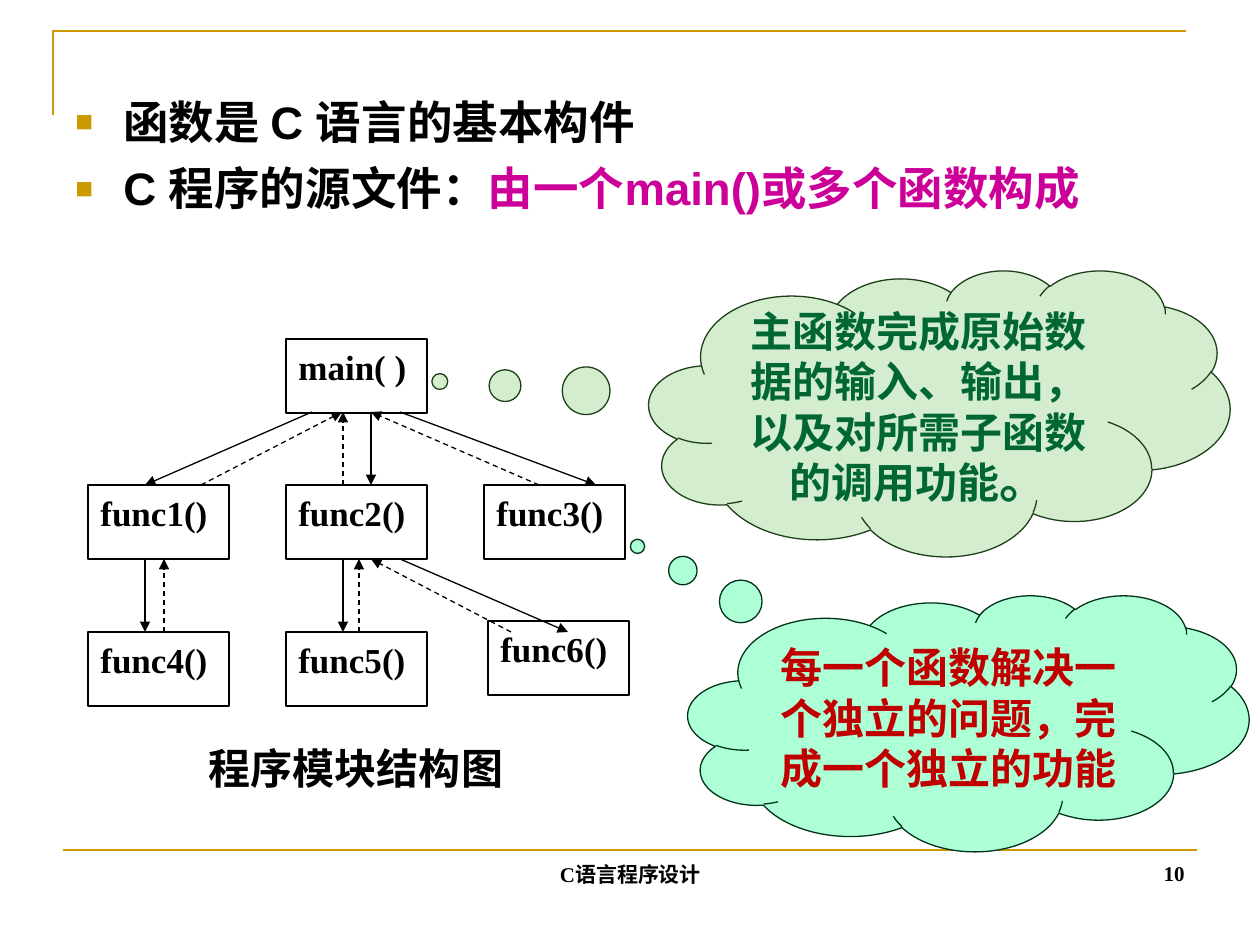
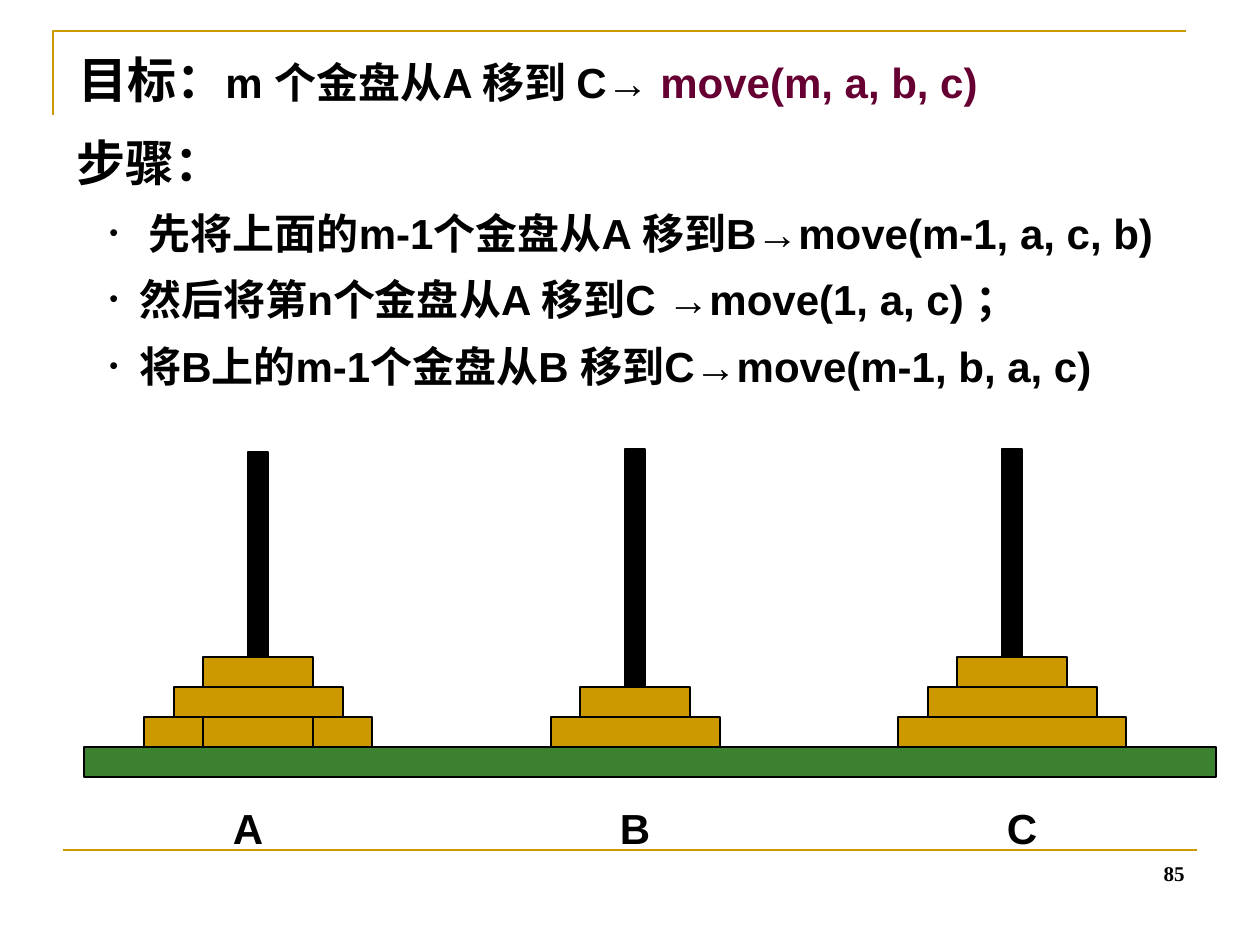
from dataclasses import dataclass, field
from typing import Any

from lxml.etree import SubElement
from pptx import Presentation
from pptx.dml.color import RGBColor
from pptx.enum.dml import MSO_LINE
from pptx.enum.shapes import MSO_CONNECTOR, MSO_SHAPE
from pptx.enum.text import MSO_ANCHOR, MSO_AUTO_SIZE, PP_ALIGN
from pptx.oxml.ns import qn
from pptx.util import Emu, Inches, Pt

SCALE = Inches(10) / 1260
GOLD = "CC9900"
BLACK = "000000"
WHITE = "FFFFFF"
SANS = "Arial"
SERIF = "Times New Roman"
CHINESE = "Noto Sans CJK JP"

Box = tuple[int, int, int, int]
Point = tuple[int, int]


@dataclass(frozen=True)
class Span:
    text: str
    size: float = 24
    color: str = BLACK
    font: str = SANS


@dataclass(frozen=True)
class Bullet:
    character: str
    color: str
    percent: int
    margin: int
    indent: int


@dataclass(frozen=True)
class Line:
    spans: list[Span]
    format: dict[str, Any] = field(default_factory=dict)
    bullet: Bullet | None = None


@dataclass(frozen=True)
class Cloud:
    box: Box
    tail: tuple[float, float]
    fill: str
    outline: str
    spans: list[Span]


@dataclass(frozen=True)
class Tower:
    label: str
    center: int
    label_center: int
    pole_top: int
    disc_widths: list[int]


SQUARE = Bullet("■", GOLD, 65, 48, -48)
DOT = Bullet("•", BLACK, 60, 63, -30)
CENTERED = {"alignment": PP_ALIGN.CENTER}

MODULES = {
    "main( )": (286, 339),
    "func1()": (88, 485),
    "func2()": (286, 485),
    "func3()": (484, 485),
    "func4()": (88, 632),
    "func5()": (286, 632),
    "func6()": (488, 621),
}
CALLS = [
    ((312, 412), (145, 485)),
    ((371, 412), (371, 485)),
    ((400, 412), (596, 485)),
    ((145, 559), (145, 632)),
    ((343, 559), (343, 632)),
    ((400, 559), (568, 632)),
]
RETURNS = [
    ((201, 485), (342, 412)),
    ((343, 485), (343, 412)),
    ((539, 485), (371, 412)),
    ((164, 632), (164, 559)),
    ((359, 632), (359, 559)),
    ((511, 632), (371, 559)),
]
CLOUDS = [
    Cloud((649, 270, 581, 286), (-0.86, -0.11), "D3EDCE", "1D4018", [
        Span("主函数完成原始数据的输入、输出，以及对所需子函数的调用功能", 24, "006633", CHINESE),
        Span("。", 28, "006633", CHINESE),
    ]),
    Cloud((688, 595, 561, 256), (-0.59, -0.69), "ADFFD6", "003319", [
        Span("每一个函数解决一个独立的问题，完成一个独立的功能", 24, "C00000", CHINESE),
    ]),
]

DISC_HEIGHT = 30
BOARD_TOP = 747
SMALL, MEDIUM, LARGE = 110, 169, 228
TOWERS = [
    Tower("A", 258, 248, 452, [LARGE, MEDIUM, SMALL]),
    Tower("B", 635, 635, 449, [MEDIUM, SMALL]),
    Tower("C", 1012, 1022, 449, [LARGE, MEDIUM, SMALL]),
]


def px(length: float) -> Emu:
    return Emu(round(length * SCALE))


def rgb(value: str) -> RGBColor:
    return RGBColor.from_string(value)


def apply_format(target: Any, values: dict[str, Any]) -> None:
    for name, value in values.items():
        setattr(target, name, value)


def place(shape: Any, box: Box) -> None:
    apply_format(shape, dict(zip(("left", "top", "width", "height"), map(px, box))))


def add_bullet(paragraph: Any, bullet: Bullet) -> None:
    properties = paragraph._p.get_or_add_pPr()
    properties.set("marL", str(px(bullet.margin)))
    properties.set("indent", str(px(bullet.indent)))
    color = SubElement(properties, qn("a:buClr"))
    SubElement(color, qn("a:srgbClr"), val=bullet.color)
    SubElement(properties, qn("a:buSzPct"), val=str(bullet.percent * 1000))
    SubElement(properties, qn("a:buFont"), typeface=SANS)
    SubElement(properties, qn("a:buChar"), char=bullet.character)


def write(shape: Any, lines: list[Line], anchor: MSO_ANCHOR = MSO_ANCHOR.TOP) -> None:
    frame = shape.text_frame
    apply_format(frame, {
        "word_wrap": True,
        "auto_size": MSO_AUTO_SIZE.NONE,
        "vertical_anchor": anchor,
        "margin_left": Inches(0.1),
        "margin_right": Inches(0.1),
        "margin_top": Inches(0.05),
        "margin_bottom": Inches(0.05),
    })
    for index, line in enumerate(lines):
        paragraph = frame.add_paragraph() if index else frame.paragraphs[0]
        if line.bullet:
            add_bullet(paragraph, line.bullet)
        apply_format(paragraph, {"alignment": PP_ALIGN.LEFT, "space_before": Pt(0)} | line.format)
        for span in line.spans:
            run = paragraph.add_run()
            run.text = span.text
            apply_format(run.font, {"name": span.font, "size": Pt(span.size), "bold": True})
            run.font.color.rgb = rgb(span.color)
    for properties in shape.element.iter(qn("a:rPr")):
        SubElement(properties, qn("a:ea"), typeface=CHINESE)


def add_text(slide: Any, box: Box, lines: list[Line], anchor: MSO_ANCHOR = MSO_ANCHOR.TOP) -> None:
    write(slide.shapes.add_textbox(*map(px, box)), lines, anchor)


def add_block(slide: Any, box: Box, fill: str, outline: str = BLACK,
              kind: MSO_SHAPE = MSO_SHAPE.RECTANGLE) -> Any:
    shape = slide.shapes.add_shape(kind, *map(px, box))
    shape.shadow.inherit = False
    shape.fill.solid()
    shape.fill.fore_color.rgb = rgb(fill)
    shape.line.color.rgb = rgb(outline)
    shape.line.width = Pt(0.75)
    return shape


def add_line(slide: Any, start: Point, end: Point, color: str = BLACK, width: float = 0.75) -> Any:
    connector = slide.shapes.add_connector(MSO_CONNECTOR.STRAIGHT, *map(px, start + end))
    connector.line.color.rgb = rgb(color)
    connector.line.width = Pt(width)
    SubElement(connector.element.spPr, qn("a:effectLst"))
    return connector


def add_arrow(slide: Any, start: Point, end: Point, dashed: bool) -> None:
    connector = add_line(slide, start, end)
    if dashed:
        connector.line.dash_style = MSO_LINE.DASH
    SubElement(connector.element.spPr.find(qn("a:ln")), qn("a:tailEnd"), type="triangle")


def add_frame(slide: Any, number: str) -> None:
    builder = slide.shapes.build_freeform(px(53), px(115), scale=1.0)
    builder.add_line_segments([(px(53), px(31)), (px(1186), px(31))], close=False)
    corner = builder.convert_to_shape()
    corner.shadow.inherit = False
    corner.fill.background()
    corner.line.color.rgb = rgb(GOLD)
    corner.line.width = Pt(1.5)
    add_line(slide, (63, 850), (1197, 850), GOLD, 1.5)
    add_footer(slide, (903, 829, 294, 63), number, PP_ALIGN.RIGHT)


def add_footer(slide: Any, box: Box, text: str, alignment: PP_ALIGN) -> None:
    line = Line([Span(text, 12, font=SERIF)], {"alignment": alignment})
    add_text(slide, box, [line], MSO_ANCHOR.BOTTOM)


def build_structure_slide(presentation: Any) -> None:
    slide = presentation.slides.add_slide(presentation.slide_layouts[6])
    add_frame(slide, "10")
    add_footer(slide, (431, 830, 399, 63), "C语言程序设计", PP_ALIGN.CENTER)
    for name, position in MODULES.items():
        module = add_block(slide, position + (141, 74), WHITE)
        write(module, [Line([Span(name, 20, font=SERIF)])])
    for arrows, dashed in ((CALLS, False), (RETURNS, True)):
        for start, end in arrows:
            add_arrow(slide, start, end, dashed)
    caption = Line([Span("程序模块结构图", font=SERIF)], CENTERED | {"line_spacing": Pt(32)})
    add_text(slide, (118, 731, 476, 73), [caption])
    for cloud in CLOUDS:
        shape = add_block(slide, cloud.box, cloud.fill, cloud.outline, MSO_SHAPE.CLOUD_CALLOUT)
        for index, offset in enumerate(cloud.tail):
            shape.adjustments[index] = offset
        write(shape, [Line(cloud.spans, CENTERED | {"line_spacing": Pt(29)})], MSO_ANCHOR.MIDDLE)
    spacing = {"line_spacing": Pt(31)}
    add_text(slide, (63, 88, 1134, 158), [
        Line([Span("函数是 C 语言的基本构件", 26)], spacing, SQUARE),
        Line([Span("C 程序的源文件：", 26), Span("由一个main()或多个函数构成", 26, "CC0099")],
             spacing | {"space_before": Pt(7)}, SQUARE),
    ])


def add_tower(slide: Any, tower: Tower) -> None:
    add_block(slide, (tower.center - 10, tower.pole_top, 20, BOARD_TOP - tower.pole_top), BLACK)
    for level, width in enumerate(tower.disc_widths, start=1):
        add_disc(slide, tower.center, level, width)
    label = Line([Span(tower.label)], CENTERED)
    add_text(slide, (tower.label_center - 55, 796, 110, 63), [label])


def add_disc(slide: Any, center: int, level: int, width: int) -> None:
    top = BOARD_TOP - level * DISC_HEIGHT
    add_block(slide, (center - width // 2, top, width, DISC_HEIGHT), GOLD)


def build_hanoi_slide(presentation: Any) -> None:
    slide = presentation.slides.add_slide(presentation.slide_layouts[5])
    title = slide.shapes.title
    place(title, (66, 35, 1131, 72))
    write(title, [Line([
        Span("目标：", 28),
        Span("m 个金盘从A 移到 C→ "),
        Span("move(m, a, b, c)", color="660033"),
    ], {"line_spacing": Pt(38)})])
    add_frame(slide, "85")
    steps = [
        " 先将上面的m-1个金盘从A 移到B→move(m-1, a, c, b)",
        "然后将第n个金盘从A 移到C →move(1, a, c) ；",
        "将B上的m-1个金盘从B 移到C→move(m-1, b, a, c)",
    ]
    spacing = {"line_spacing": Pt(32), "space_before": Pt(6)}
    heading = Line([Span("步骤：", 28)], {"line_spacing": Pt(40)})
    add_text(slide, (64, 115, 1111, 387),
             [heading] + [Line([Span(step)], spacing, DOT) for step in steps])
    add_block(slide, (84, BOARD_TOP, 1132, DISC_HEIGHT), "3B812F")
    for tower in TOWERS:
        add_tower(slide, tower)
    add_disc(slide, TOWERS[0].center, 1, SMALL)


def main() -> None:
    presentation = Presentation()
    presentation.slide_width = px(1260)
    presentation.slide_height = px(945)
    build_structure_slide(presentation)
    build_hanoi_slide(presentation)
    presentation.save("out.pptx")


if __name__ == "__main__":
    main()
